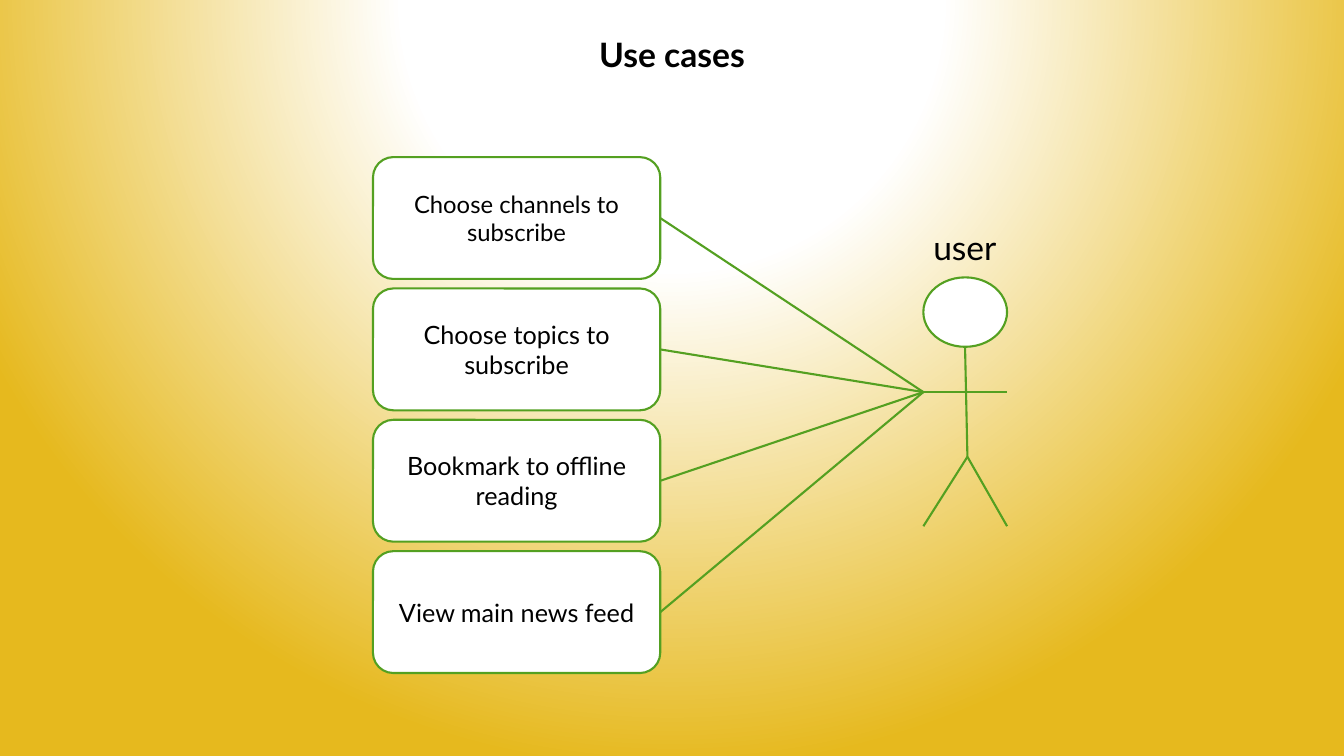
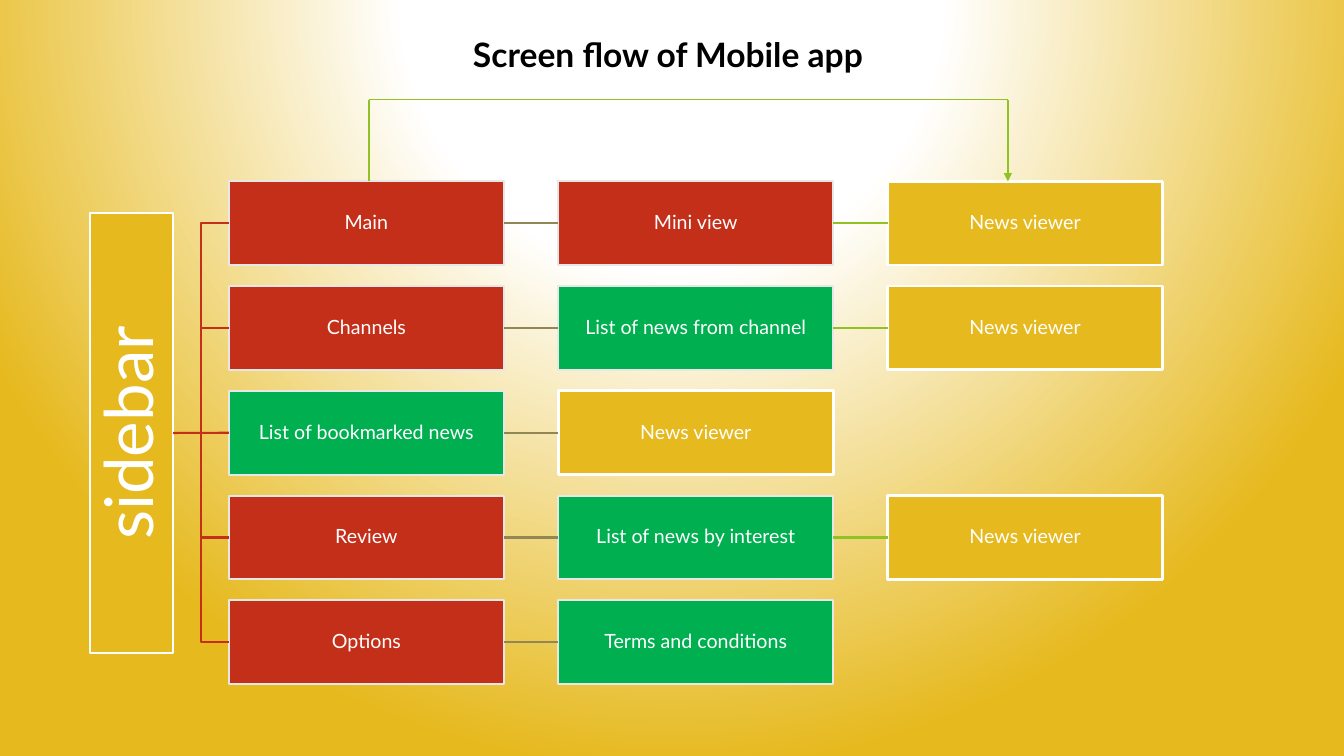
import dataclasses

import pptx
import pptx.dml.color
import pptx.enum.shapes
import pptx.enum.text
import pptx.oxml
import pptx.oxml.ns
import pptx.util

Cm = pptx.util.Cm
Pt = pptx.util.Pt
qn = pptx.oxml.ns.qn
Shape = pptx.enum.shapes.MSO_SHAPE
Link = pptx.enum.shapes.MSO_CONNECTOR
Align = pptx.enum.text.PP_ALIGN
Anchor = pptx.enum.text.MSO_ANCHOR

TOP, LEFT, BOTTOM, RIGHT = range(4)


@dataclasses.dataclass(frozen=True)
class Theme:
    font: str = "Lato"
    black: str = "000000"
    white: str = "FFFFFF"
    gold: str = "E6B91E"
    red: str = "C42F1A"
    green: str = "00B050"
    leaf: str = "54A021"
    lime: str = "90C226"
    olive: str = "918655"
    pale: str = "E7E7E7"
    title: int = 24
    label: int = 24
    case: int = 18
    small: int = 17
    screen: int = 14
    side: int = 48
    thin: float = 1
    line: float = 1.5
    thick: float = 2


THEME = Theme()
WIDTH, HEIGHT = 33.87, 19.05


def rgb(code):
    return pptx.dml.color.RGBColor.from_string(code)


def paint_back(master):
    """Give all slides the round glow from white to gold."""
    stops = ((0, THEME.white), (35, THEME.white), (100, THEME.gold))
    marks = "".join(
        f'<a:gs pos="{pos * 1000}"><a:srgbClr val="{code}"/></a:gs>'
        for pos, code in stops)
    glow = pptx.oxml.parse_xml(
        f'<a:gradFill {pptx.oxml.ns.nsdecls("a")} rotWithShape="1">'
        f'<a:gsLst>{marks}</a:gsLst><a:path path="circle">'
        '<a:fillToRect l="50000" t="-80000" r="50000" b="180000"/>'
        '</a:path></a:gradFill>')
    master.background.fill.solid()
    back = master.element.find(".//" + qn("p:bgPr"))
    back.replace(back.find(qn("a:solidFill")), glow)


def write(shape, text, size, color=THEME.black, bold=False,
          align=Align.CENTER, anchor=Anchor.MIDDLE, inset=None, space=None):
    frame = shape.text_frame
    frame.word_wrap = True
    frame.vertical_anchor = anchor
    if inset is not None:
        frame.margin_left = frame.margin_right = Cm(inset)
        frame.margin_top = frame.margin_bottom = Cm(inset)
    para = frame.paragraphs[0]
    para.alignment = align
    para.line_spacing = space
    run = para.add_run()
    run.text = text
    run.font.name = THEME.font
    run.font.size = Pt(size)
    run.font.bold = bold
    run.font.color.rgb = rgb(color)


def add_text(slide, area, text, size, **style):
    box = slide.shapes.add_textbox(*map(Cm, area))
    write(box, text, size, anchor=Anchor.TOP, **style)


def add_title(slide, text):
    add_text(slide, (0, 0.74, WIDTH, 1.27), text, THEME.title, bold=True)


def add_box(slide, kind, area, fill, edge, width=THEME.line):
    box = slide.shapes.add_shape(kind, *map(Cm, area))
    box.shadow.inherit = False
    box.fill.solid()
    box.fill.fore_color.rgb = rgb(fill)
    box.line.color.rgb = rgb(edge)
    box.line.width = Pt(width)
    return box


def add_line(slide, start, end, color, width=THEME.line, kind=Link.STRAIGHT,
             arrow=False):
    """Draw a line; each end is a point or a (shape, side) pair."""
    ends = [(0, 0) if hasattr(e[0], "shape_id") else e for e in (start, end)]
    line = slide.shapes.add_connector(
        kind, *(Cm(value) for point in ends for value in point))
    for spot, join in ((start, line.begin_connect), (end, line.end_connect)):
        if hasattr(spot[0], "shape_id"):
            join(*spot)
    line.line.color.rgb = rgb(color)
    line.line.width = Pt(width)
    props = line._element.spPr
    if arrow:
        tail = pptx.oxml.parse_xml(
            f'<a:tailEnd {pptx.oxml.ns.nsdecls("a")} type="triangle"/>')
        props.find(qn("a:ln")).append(tail)
    props.append(pptx.oxml.parse_xml(
        f'<a:effectLst {pptx.oxml.ns.nsdecls("a")}/>'))


def add_user(slide, hand):
    """Draw the stick figure whose left hand is at the given point."""
    left, arm = hand
    right = left + 2.11
    neck, hip, foot = (24.32, 8.74), (24.38, 11.51), 13.26
    add_text(slide, (left, 5.59, 3.23, 1.27), "user", THEME.label,
             align=Align.LEFT)
    add_box(slide, Shape.FLOWCHART_CONNECTOR, (left, 6.99, 2.11, 1.75),
            THEME.white, THEME.leaf)
    limbs = ((neck, hip), (hand, (right, arm)),
             (hip, (left, foot)), (hip, (right, foot)))
    for start, end in limbs:
        add_line(slide, start, end, THEME.leaf)


def draw_cases(slide):
    add_title(slide, "Use cases")
    hand = (23.27, 9.88)
    add_user(slide, hand)
    cases = (("Choose channels to subscribe", THEME.small),
             ("Choose topics to subscribe", THEME.case),
             ("Bookmark to offline reading", THEME.case),
             ("View main news feed", THEME.case))
    for row, (text, size) in enumerate(cases):
        area = (9.4, 3.96 + 3.31 * row, 7.24, 3.07)
        box = add_box(slide, Shape.ROUNDED_RECTANGLE, area,
                      THEME.white, THEME.leaf)
        write(box, text, size)
        add_line(slide, (box, RIGHT), hand, THEME.leaf)


def add_screen(slide, row, col, text, fill):
    area = (5.77 + 8.3 * col, 4.57 + 2.64 * row, 6.93, 2.11)
    view = fill == THEME.gold
    box = add_box(slide, Shape.RECTANGLE, area, fill,
                  THEME.white if view else THEME.pale,
                  THEME.thick if view else THEME.line)
    write(box, text, THEME.screen, color=THEME.white, inset=0.03, space=0.9)
    return box


def add_side(slide):
    side = add_box(slide, Shape.RECTANGLE, (2.26, 5.36, 2.11, 11.1),
                   THEME.gold, THEME.white)
    write(side, "sidebar", THEME.side, color=THEME.white, inset=0.08,
          space=0.9)
    side.text_frame._txBody.bodyPr.set("vert", "vert270")
    return side


def draw_flow(slide):
    add_title(slide, "Screen flow of Mobile app ")
    red, green = THEME.red, THEME.green
    view = ("News viewer", THEME.gold)
    flows = ((("Main", red), ("Mini view", red), view),
             (("Channels", red), ("List of news from channel", green), view),
             (("List of bookmarked news", green), view),
             (("Review", red), ("List of news by interest", green), view),
             (("Options", red), ("Terms and conditions", green)))
    side = add_side(slide)
    for row, flow in enumerate(flows):
        boxes = [add_screen(slide, row, col, *item)
                 for col, item in enumerate(flow)]
        middle = row == len(flows) // 2
        add_line(slide, (side, RIGHT), (boxes[0], LEFT), THEME.red,
                 kind=Link.STRAIGHT if middle else Link.ELBOW)
        tints = (THEME.olive, THEME.lime)
        for start, end, tint in zip(boxes, boxes[1:], tints):
            add_line(slide, (start, RIGHT), (end, LEFT), tint)

    left, right, high, low = 9.3, 25.4, 2.51, 4.57
    turns = ((left, low), (left, high), (right, high), (right, low))
    for start, end in zip(turns, turns[1:]):
        add_line(slide, start, end, THEME.lime, THEME.thin,
                 arrow=end == turns[-1])


def main():
    deck = pptx.Presentation()
    deck.slide_width, deck.slide_height = Cm(WIDTH), Cm(HEIGHT)
    paint_back(deck.slide_master)
    for draw in (draw_cases, draw_flow):
        draw(deck.slides.add_slide(deck.slide_layouts[6]))
    deck.save("out.pptx")


if __name__ == "__main__":
    main()
